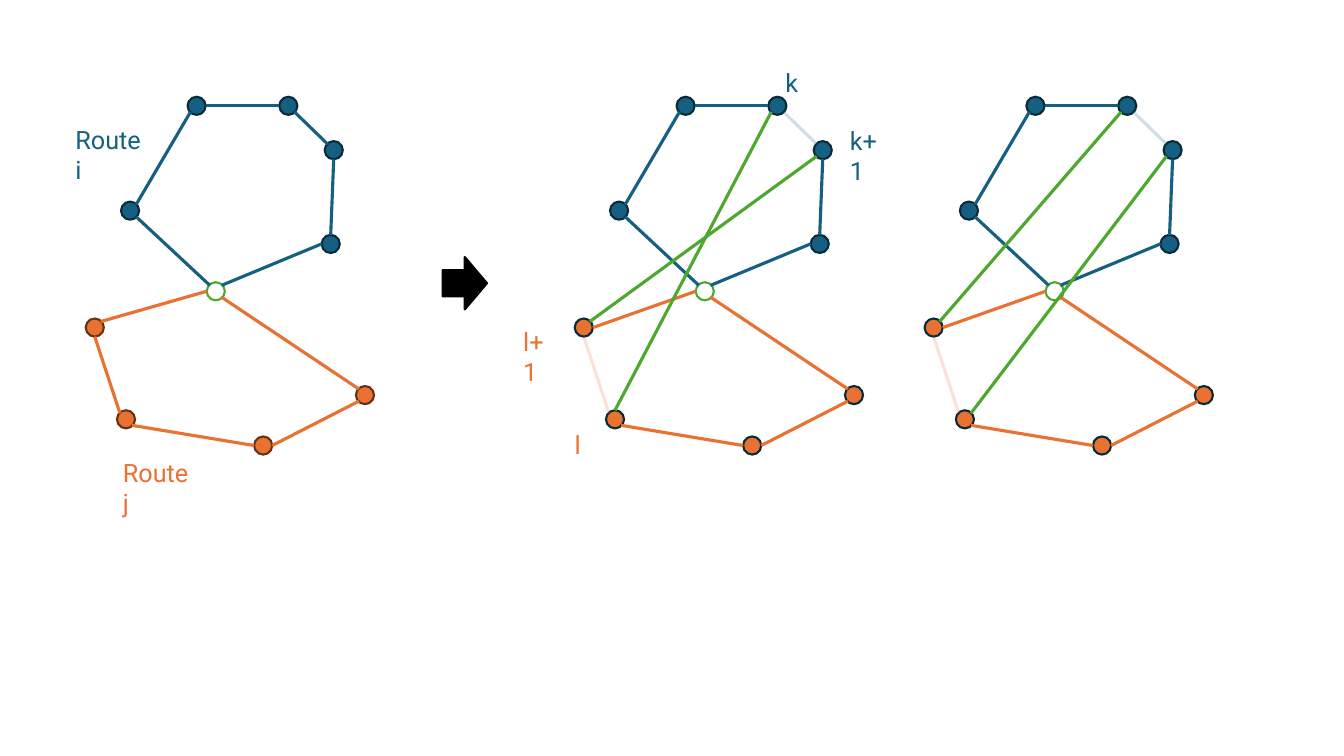
from dataclasses import dataclass

from lxml.etree import SubElement
from pptx import Presentation
from pptx.dml.color import RGBColor
from pptx.enum.shapes import MSO_CONNECTOR, MSO_SHAPE
from pptx.oxml.ns import qn
from pptx.util import Pt


@dataclass(frozen=True)
class Theme:
    blue: str = "156082"
    navy: str = "092A39"
    orange: str = "E97132"
    brown: str = "663216"
    green: str = "4EA72E"
    white: str = "FFFFFF"
    black: str = "000000"
    font: str = "Roboto"
    label_size: float = 18
    outline_width: float = 1.5
    edge_width: float = 2.25
    faded_percent: int = 20


EMU_PER_PX = 9144
NODE_SIZE = 18
PORTS = {
    "N": (0, -9), "NE": (6, -6), "E": (9, 0), "SE": (6, 6),
    "S": (0, 9), "SW": (-6, 6), "W": (-9, 0), "NW": (-6, -6),
}
BLUE_STOPS = {
    "west": (129, 209), "northwest": (195, 105), "k": (286, 105),
    "southeast": (328, 242), "k+1": (331, 149),
}
ORANGE_STOPS = {
    "east": (362, 392), "south": (261, 442), "l": (125, 416), "l+1": (94, 325),
}
DEPOT = {"depot": (214, 289)}
STOPS = BLUE_STOPS | ORANGE_STOPS | DEPOT
BLUE_EDGES = [
    ("west", "SE", "depot", "NW"),
    ("west", "NE", "northwest", "SW"),
    ("k", "W", "northwest", "E"),
    ("southeast", "N", "k+1", "S"),
    ("depot", "NE", "southeast", "W"),
]
ORANGE_EDGES = [
    ("depot", "SE", "east", "NW"),
    ("south", "E", "east", "SW"),
    ("l", "SE", "south", "W"),
]
BLUE_CUT = ("k+1", "NW", "k", "SE")
ORANGE_CUT = ("l+1", "S", "l", "NW")
CROSSED_SWAP = [("l+1", "NE", "k+1", "SW"), ("l", "N", "k", "SW")]
PARALLEL_SWAP = [("l", "NE", "k+1", "SW"), ("l+1", "NE", "k", "SW")]


def px(length):
    return length * EMU_PER_PX


class RouteSlide:
    def __init__(self, presentation, theme):
        self.theme = theme
        self.slide = presentation.slides.add_slide(presentation.slide_layouts[6])

    def shape(self, preset, left, top, width, height, fill, outline):
        figure = self.slide.shapes.add_shape(
            preset, px(left), px(top), px(width), px(height))
        figure.shadow.inherit = False
        figure.fill.solid()
        figure.fill.fore_color.rgb = RGBColor.from_string(fill)
        figure.line.color.rgb = RGBColor.from_string(outline)
        figure.line.width = Pt(self.theme.outline_width)

    def nodes(self, stops, shift, fill, outline):
        for x, y in stops.values():
            self.shape(MSO_SHAPE.OVAL, x + shift - NODE_SIZE // 2,
                       y - NODE_SIZE // 2, NODE_SIZE, NODE_SIZE, fill, outline)

    def edge(self, link, shift, color, faded=False):
        start, start_port, end, end_port = link
        (x1, y1), (x2, y2) = [
            (STOPS[stop][0] + PORTS[port][0] + shift,
             STOPS[stop][1] + PORTS[port][1])
            for stop, port in ((start, start_port), (end, end_port))
        ]
        leg = self.slide.shapes.add_connector(
            MSO_CONNECTOR.STRAIGHT, px(x1), px(y1), px(x2), px(y2))
        leg.line.color.rgb = RGBColor.from_string(color)
        leg.line.width = Pt(self.theme.edge_width)
        properties = leg._element.spPr
        SubElement(properties, qn("a:effectLst"))
        if faded:
            paint = properties.find(".//" + qn("a:srgbClr"))
            SubElement(paint, qn("a:alpha"),
                       val=str(self.theme.faded_percent * 1000))

    def label(self, words, left, top, width, color):
        box = self.slide.shapes.add_textbox(px(left), px(top), px(width), px(40))
        box.text_frame.word_wrap = True
        run = box.text_frame.paragraphs[0].add_run()
        run.text = words
        run.font.name = self.theme.font
        run.font.size = Pt(self.theme.label_size)
        run.font.color.rgb = RGBColor.from_string(color)

    def tour(self, shift, orange_outline, depot_port, swap=()):
        theme = self.theme
        self.nodes(BLUE_STOPS, shift, theme.blue, theme.navy)
        self.nodes(DEPOT, shift, theme.white, theme.green)
        self.nodes(ORANGE_STOPS, shift, theme.orange, orange_outline)
        for link in BLUE_EDGES:
            self.edge(link, shift, theme.blue)
        for link in ORANGE_EDGES + [("l+1", depot_port, "depot", "W")]:
            self.edge(link, shift, theme.orange)
        self.edge(BLUE_CUT, shift, theme.blue, faded=bool(swap))
        self.edge(ORANGE_CUT, shift, theme.orange, faded=bool(swap))
        for link in swap:
            self.edge(link, shift, theme.green)


def main():
    presentation = Presentation()
    presentation.slide_width = px(1333)
    presentation.slide_height = px(750)
    theme = Theme()
    page = RouteSlide(presentation, theme)

    page.tour(0, theme.brown, "NE")
    page.tour(485, theme.navy, "E", CROSSED_SWAP)
    page.tour(832, theme.navy, "E", PARALLEL_SWAP)
    page.shape(MSO_SHAPE.RIGHT_ARROW, 439, 255, 44, 52, theme.black, theme.black)

    for words, left, top, width, color in [
        ("Route i", 65, 118, 92, theme.blue),
        ("Route j", 112, 449, 92, theme.orange),
        ("k", 769, 62, 32, theme.blue),
        ("k+1", 833, 119, 57, theme.blue),
        ("l", 560, 421, 27, theme.orange),
        ("l+1", 509, 319, 52, theme.orange),
    ]:
        page.label(words, left, top, width, color)

    presentation.save("out.pptx")


if __name__ == "__main__":
    main()
